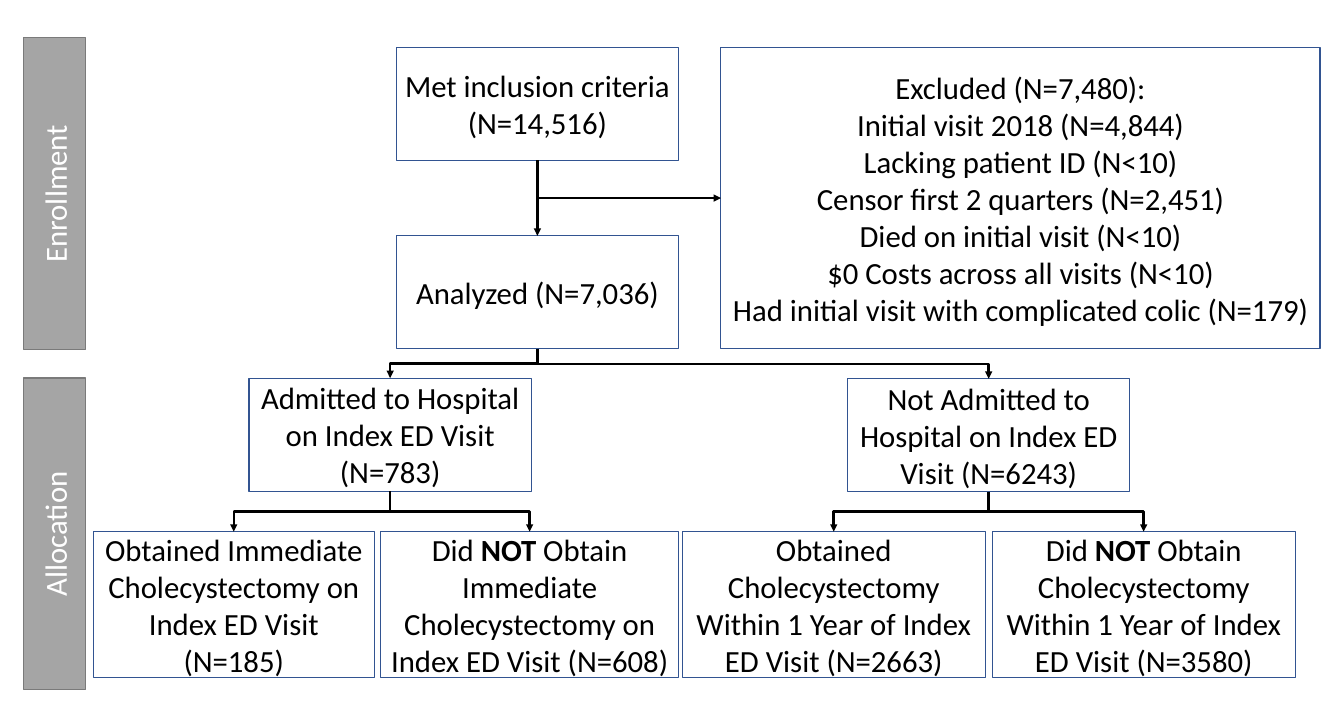
from pptx import Presentation
from pptx.dml.color import RGBColor
from pptx.enum.shapes import MSO_CONNECTOR, MSO_SHAPE
from pptx.enum.text import PP_ALIGN
from pptx.oxml.ns import qn
from pptx.util import Cm, Pt
from lxml.etree import SubElement

deck = Presentation()
deck.slide_width, deck.slide_height = Cm(43.18), Cm(22.86)
page = deck.slides.add_slide(deck.slide_layouts[6])


def add_box(place, lines, line_color, text_color, fill_color=None):
    """Rectangle with centred lines; the word NOT is bold."""
    box = page.shapes.add_shape(MSO_SHAPE.RECTANGLE, *[Cm(length) for length in place])
    box.shadow.inherit = False
    if fill_color:
        box.fill.solid()
        box.fill.fore_color.rgb = RGBColor.from_string(fill_color)
    else:
        box.fill.background()
    box.line.color.rgb = RGBColor.from_string(line_color)
    box.line.width = Pt(1)
    for index, line in enumerate(lines):
        frame = box.text_frame
        para = frame.add_paragraph() if index else frame.paragraphs[0]
        para.alignment = PP_ALIGN.CENTER
        para.font.name, para.font.size = "Calibri", Pt(28)
        para.font.color.rgb = RGBColor.from_string(text_color)
        before, bold, after = line.partition("NOT ")
        for text in filter(None, (before, bold, after)):
            span = para.add_run()
            span.text = text
            if text == bold:
                span.font.bold = True
    return box


def add_arrow(start, end, preset="bentConnector3"):
    """Arrow that leaves start downwards: straight, or an elbow turned upright."""
    (x1, y1), (x2, y2) = start, end
    if x1 == x2:
        arrow = page.shapes.add_connector(MSO_CONNECTOR.STRAIGHT, x1, y1, x2, y2)
    else:
        # An elbow starts sideways, so swap its width and height and rotate it
        middle_x, middle_y = (x1 + x2) // 2, (y1 + y2) // 2
        half_width, half_height = (y2 - y1) // 2, abs(x2 - x1) // 2
        if x2 > x1:
            half_width = -half_width
        arrow = page.shapes.add_connector(
            MSO_CONNECTOR.ELBOW,
            middle_x - half_width, middle_y - half_height,
            middle_x + half_width, middle_y + half_height)
        degrees = 270 if x2 > x1 else 90
        properties = arrow._element.spPr
        properties.find(qn("a:xfrm")).set("rot", str(degrees * 60000))
        properties.find(qn("a:prstGeom")).set("prst", preset)
    arrow.line.color.rgb = RGBColor.from_string("000000")
    arrow.line.width = Pt(2.25)
    SubElement(arrow.line._get_or_add_ln(), qn("a:tailEnd"), type="triangle")
    SubElement(arrow._element.spPr, qn("a:effectLst"))


# Flow boxes: left, top, width, height and lines
bottom_top, bottom_height = 17.07, 4.67
flow = {
    "included": ((12.73, 1.52, 9.07, 3.63), ["Met inclusion criteria (N=14,516)"]),
    "analyzed": ((12.73, 7.57, 9.07, 3.63), ["Analyzed (N=7,036)"]),
    "excluded": ((23.16, 1.52, 19.25, 9.68), [
        "Excluded (N=7,480):",
        "Initial visit 2018 (N=4,844)",
        "Lacking patient ID (N<10)",
        "Censor first 2 quarters (N=2,451)",
        "Died on initial visit (N<10)",
        "$0 Costs across all visits (N<10)",
        "Had initial visit with complicated colic (N=179)"]),
    "admitted": ((8, 12.14, 9.07, 3.63),
                 ["Admitted to Hospital on Index ED Visit (N=783)"]),
    "not admitted": ((27.23, 12.16, 9.07, 3.63),
                     ["Not Admitted to Hospital on Index ED Visit (N=6243)"]),
    "immediate": ((3, bottom_top, 9.02, bottom_height),
                  ["Obtained Immediate Cholecystectomy on Index ED Visit (N=185)"]),
    "not immediate": ((12.24, bottom_top, 9.55, bottom_height),
                      ["Did NOT Obtain Immediate Cholecystectomy on Index ED Visit (N=608)"]),
    "within year": ((21.92, bottom_top, 9.73, bottom_height),
                    ["Obtained Cholecystectomy Within 1 Year of Index ED Visit (N=2663)"]),
    "not within year": ((31.88, bottom_top, 9.73, bottom_height),
                        ["Did NOT Obtain Cholecystectomy Within 1 Year of Index ED Visit (N=3580)"]),
}
boxes = {name: add_box(place, lines, "325491", "000000")
         for name, (place, lines) in flow.items()}

# Phase bars, turned to read upwards
for phase, top in (("Enrollment", 5.23), ("Allocation", 16.15)):
    bar = add_box((-3.25, top, 10.01, 1.98), [phase], "7A7A7A", "FFFFFF", "A5A5A5")
    bar.rotation = 270

# Arrows from the bottom of one box to the top of the next
for source, target in (
        ("included", "analyzed"),
        ("analyzed", "admitted"), ("analyzed", "not admitted"),
        ("admitted", "immediate"), ("admitted", "not immediate"),
        ("not admitted", "within year"), ("not admitted", "not within year")):
    upper, lower = boxes[source], boxes[target]
    add_arrow((upper.left + upper.width // 2, upper.top + upper.height),
              (lower.left + lower.width // 2, lower.top))

# Side arrow to the exclusions
included, excluded = boxes["included"], boxes["excluded"]
add_arrow((included.left + included.width // 2, included.top + included.height),
          (excluded.left, excluded.top + excluded.height // 2), "bentConnector2")

deck.save("out.pptx")
